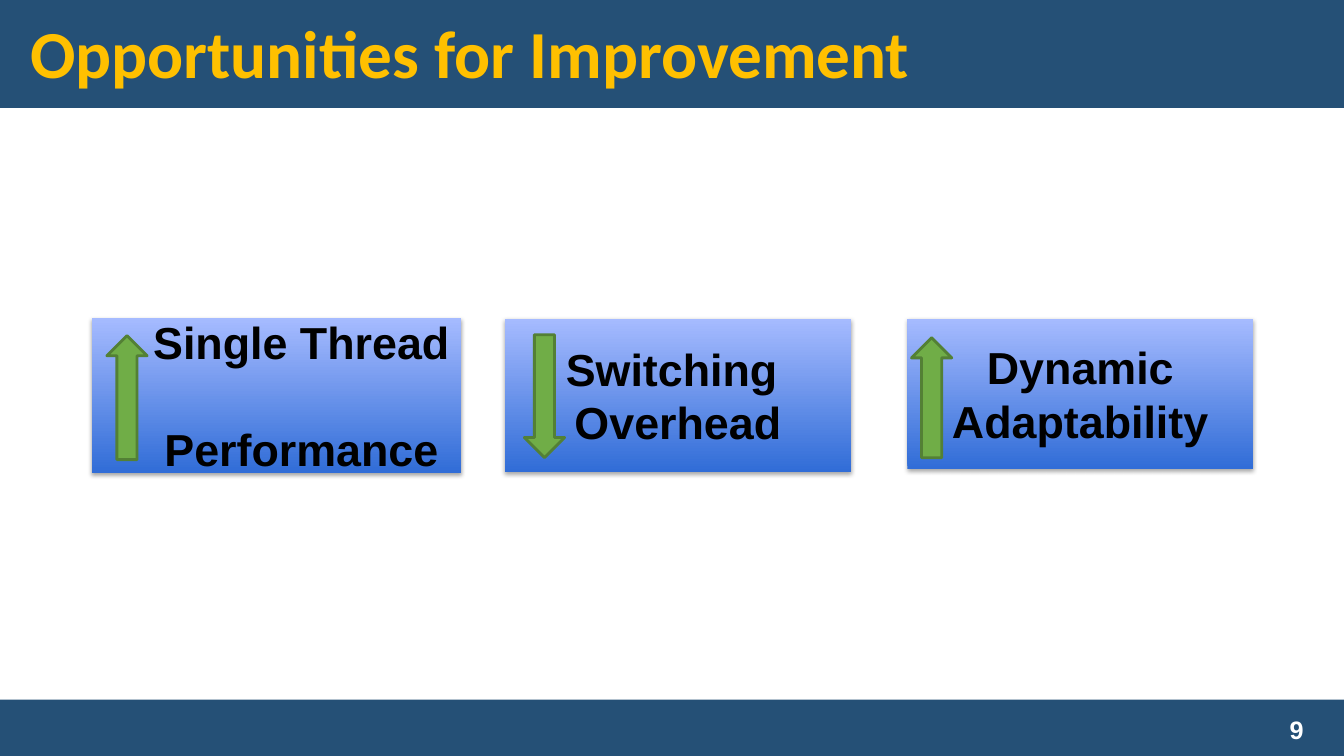
"""Build the slide that names three opportunities for improvement."""
from lxml.etree import SubElement
from pptx import Presentation
from pptx.dml.color import RGBColor as Rgb
from pptx.enum.shapes import MSO_SHAPE as Shape
from pptx.enum.text import MSO_ANCHOR as Anchor, PP_ALIGN as Align
from pptx.oxml.ns import qn
from pptx.util import Inches, Pt

THEME = {
    "band": Rgb.from_string("255076"),
    "title": Rgb.from_string("FFC000"),
    "number": Rgb.from_string("FFFFFF"),
    "text": Rgb.from_string("000000"),
    "box": (Rgb.from_string("316DD7"), Rgb.from_string("A6BBFF")),
    "arrow": Rgb.from_string("70AD47"),
    "arrow_line": Rgb.from_string("538035"),
    "title_font": "Calibri", "body_font": "Arial",
    "title_size": Pt(48), "box_size": Pt(32), "number_size": Pt(18),
}

deck = Presentation()
deck.slide_width, deck.slide_height = Inches(13.33), Inches(7.5)
page = deck.slides.add_slide(deck.slide_layouts[6])


def place(left, top, width, height):
    """Turn percentages of the slide into lengths."""
    across, down = deck.slide_width / 100, deck.slide_height / 100
    return int(left * across), int(top * down), int(width * across), int(height * down)


def write(holder, lines, role, font, align):
    """Fill a shape with bold paragraphs centred vertically."""
    frame = holder.text_frame
    frame.word_wrap = True
    frame.vertical_anchor = Anchor.MIDDLE
    frame.text = "\n".join(lines)
    for para in frame.paragraphs:
        para.alignment = align
        para.font.name = THEME[font]
        para.font.size = THEME[f"{role}_size"]
        para.font.color.rgb = THEME["text" if role == "box" else role]
        para.font.bold = True
    return frame.paragraphs


for top, height in ((0, 14.27), (92.53, 7.47)):
    band = page.shapes.add_shape(Shape.RECTANGLE, *place(0, top, 100, height))
    band.shadow.inherit = False
    band.fill.solid()
    band.fill.fore_color.rgb = THEME["band"]
    band.line.fill.background()

title = page.shapes.add_textbox(*place(1.5, 1.87, 97.07, 11.2))
write(title, ["Opportunities for Improvement"], "title", "title_font", Align.LEFT)[0].line_spacing = 0.9
number = page.shapes.add_textbox(*place(86.87, 93.87, 19.2, 5.33))
write(number, ["9"], "number", "body_font", Align.CENTER)

goals = (
    (["Single Thread", "Performance"], (6.83, 42, 27.46, 20.53), (7.95, 44.4, 3, 16.4), 0),
    (["Switching ", "Overhead"], (37.58, 42.13, 25.73, 20.27), (39.01, 44.27, 3, 16.27), 180),
    (["Dynamic Adaptability"], (67.52, 42.13, 25.73, 19.87), (67.82, 44.67, 3, 15.87), 0),
)
goal_paras = []
for lines, box_area, arrow_area, turn in goals:
    box = page.shapes.add_shape(Shape.RECTANGLE, *place(*box_area))
    box.line.fill.background()
    box.fill.gradient()
    box.fill.gradient_angle = 90
    for stop, colour in zip(box.fill.gradient_stops, THEME["box"]):
        stop.color.rgb = colour
    box.shadow.inherit = False
    effects = box.element.spPr.find(qn("a:effectLst"))
    shadow = SubElement(effects, qn("a:outerShdw"), blurRad=str(Pt(3.1)), dist=str(Pt(1.8)),
                        dir="5400000", rotWithShape="0")
    shade = SubElement(shadow, qn("a:srgbClr"), val=str(THEME["text"]))
    SubElement(shade, qn("a:alpha"), val="35000")
    goal_paras.append(write(box, lines, "box", "body_font", Align.CENTER))

    arrow = page.shapes.add_shape(Shape.UP_ARROW, *place(*arrow_area))
    arrow.rotation = turn
    arrow.shadow.inherit = False
    arrow.fill.solid()
    arrow.fill.fore_color.rgb = THEME["arrow"]
    arrow.line.color.rgb = THEME["arrow_line"]
    arrow.line.width = Pt(2)

thread_paras = goal_paras[0]
for para in thread_paras:
    para.level = 1
    properties = para._p.get_or_add_pPr()
    properties.set("marL", str(Inches(0.5)))
    properties.set("indent", "0")
thread_paras[1].space_before = Pt(38)

deck.save("out.pptx")
